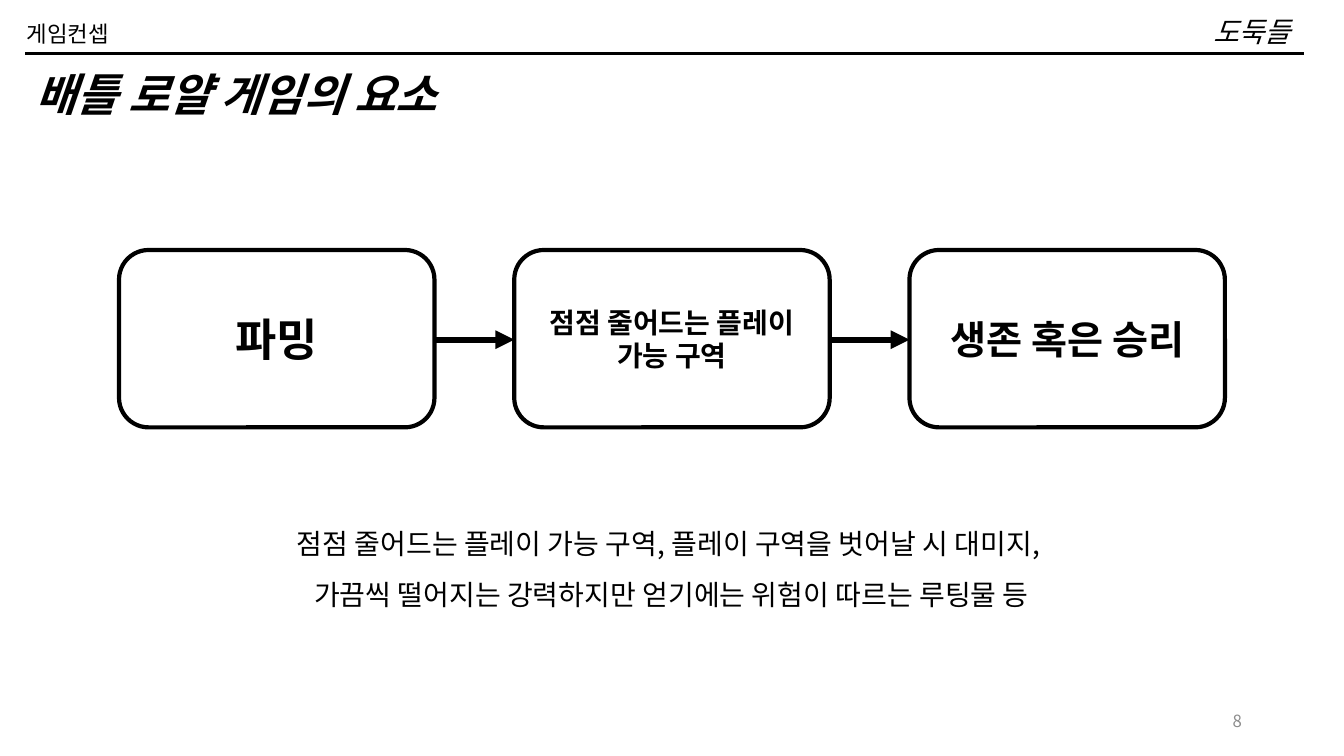
"""Build the slide on the elements of a battle royale game."""
from dataclasses import dataclass
from itertools import pairwise

from lxml.etree import SubElement
from pptx import Presentation
from pptx.dml.color import RGBColor as Rgb
from pptx.enum.shapes import MSO_CONNECTOR as Link, MSO_SHAPE as Form
from pptx.enum.text import MSO_ANCHOR as Anchor, MSO_AUTO_SIZE as Fit, PP_ALIGN as Align
from pptx.oxml.ns import qn
from pptx.util import Cm, Pt

FONT = "Noto Sans CJK KR"
HUES = {"ink": "000000", "paper": "FFFFFF", "gray": "8C8C8C"}
LEFT, TOP, WIDE, HIGH, STEP = 3.0, 6.3, 7.95, 4.47, 9.96
MID = 8.56


@dataclass
class Style:
    size: int
    bold: bool = False
    slant: bool = False
    hue: str = "ink"
    align: Align = Align.LEFT
    anchor: Anchor = Anchor.TOP
    space: float = 1.0
    wrap: bool = True


@dataclass
class Label:
    lines: list[str]
    place: tuple[float, float, float, float]
    style: Style


@dataclass
class Stage:
    text: str
    size: int


def tint(name: str) -> Rgb:
    """Return the named colour."""
    return Rgb.from_string(HUES[name])


def write(shape, lines: list[str], style: Style) -> None:
    """Fill a shape with styled lines."""
    frame = shape.text_frame
    frame.word_wrap = style.wrap
    frame.auto_size = Fit.NONE
    frame.vertical_anchor = style.anchor
    for rank, line in enumerate(lines):
        para = frame.add_paragraph() if rank else frame.paragraphs[0]
        para.alignment = style.align
        para.line_spacing = style.space
        run = para.add_run()
        run.text = line
        font = run.font
        font.size, font.bold, font.italic = Pt(style.size), style.bold, style.slant
        font.color.rgb = tint(style.hue)
        font.name = FONT
        SubElement(font._element, qn("a:ea")).set("typeface", FONT)


def put_text(slide, label: Label) -> None:
    """Add a text box for a label."""
    box = slide.shapes.add_textbox(*map(Cm, label.place))
    write(box, label.lines, label.style)


def put_title(slide, label: Label) -> None:
    """Move and fill the title placeholder."""
    title = slide.shapes.title
    title.left, title.top, title.width, title.height = map(Cm, label.place)
    write(title, label.lines, label.style)


def put_stage(slide, stage: Stage, left: float) -> None:
    """Add a rounded box for one stage of the game."""
    box = slide.shapes.add_shape(Form.ROUNDED_RECTANGLE, *map(Cm, (left, TOP, WIDE, HIGH)))
    box.shadow.inherit = False
    box.fill.solid()
    box.fill.fore_color.rgb = tint("paper")
    box.line.color.rgb = tint("ink")
    box.line.width = Pt(3)
    write(box, [stage.text], Style(stage.size, True, align=Align.CENTER, anchor=Anchor.MIDDLE))


def put_line(slide, start: float, end: float, y: float, width: float, head: bool = False) -> None:
    """Add a level line, with an arrowhead if asked."""
    line = slide.shapes.add_connector(Link.STRAIGHT, Cm(start), Cm(y), Cm(end), Cm(y))
    line.line.color.rgb = tint("ink")
    line.line.width = Pt(width)
    if head:
        SubElement(line.line._get_or_add_ln(), qn("a:tailEnd")).set("type", "triangle")
    SubElement(line._element.spPr, qn("a:effectLst"))


TITLE = Label(["배틀 로얄 게임의 요소"], (0.64, 1.55, 11.76, 1.63), Style(32, True, True))
LABELS = [
    Label(["도둑들"], (30.02, 0.33, 3.05, 1.02),
          Style(20, slant=True, align=Align.CENTER, anchor=Anchor.BOTTOM, space=0.9)),
    Label(["8"], (23.93, 17.65, 7.62, 1.02),
          Style(12, hue="gray", align=Align.RIGHT, anchor=Anchor.MIDDLE)),
    Label(["게임컨셉"], (0.43, 0.38, 2.59, 0.94), Style(16, wrap=False)),
    Label(["점점 줄어드는 플레이 가능 구역, 플레이 구역을 벗어날 시 대미지, ",
           "가끔씩 떨어지는 강력하지만 얻기에는 위험이 따르는 루팅물 등"],
          (6.65, 12.73, 20.55, 2.69), Style(20, align=Align.CENTER, space=1.5)),
]
STAGES = [Stage("파밍", 32), Stage("점점 줄어드는 플레이 가능 구역", 20),
          Stage("생존 혹은 승리", 28)]


def main() -> None:
    """Build and save the slide."""
    deck = Presentation()
    deck.slide_width, deck.slide_height = Cm(33.87), Cm(19.05)
    slide = deck.slides.add_slide(deck.slide_layouts[5])
    put_title(slide, TITLE)
    put_line(slide, 0.64, 32.87, 1.35, 1.75)
    for label in LABELS:
        put_text(slide, label)
    lefts = [LEFT + STEP * rank for rank in range(len(STAGES))]
    for stage, left in zip(STAGES, lefts):
        put_stage(slide, stage, left)
    for here, there in pairwise(lefts):
        put_line(slide, here + WIDE, there, MID, 4.5, head=True)
    deck.save("out.pptx")


main()
